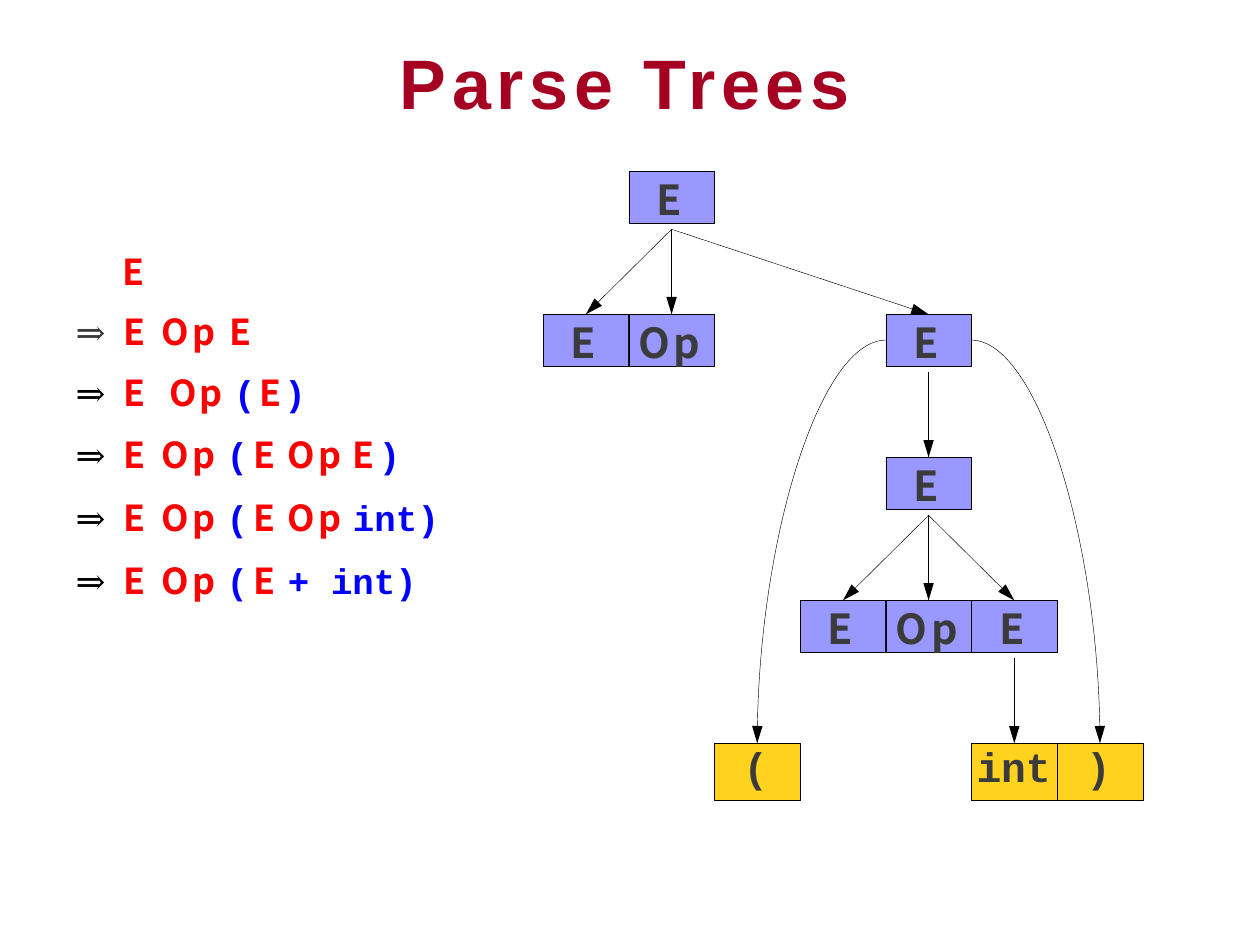
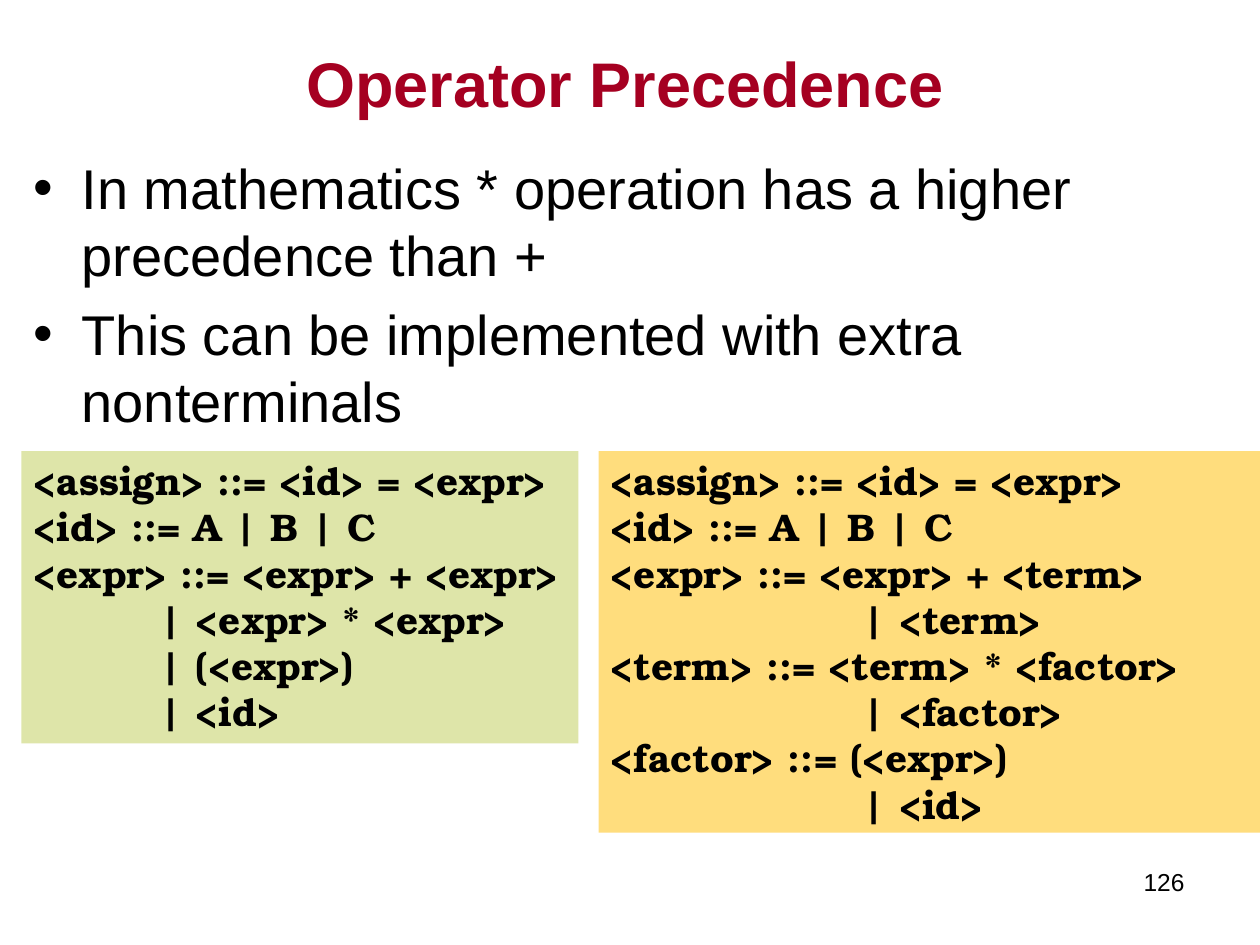
from dataclasses import dataclass
from typing import NamedTuple

from lxml import etree
from pptx import Presentation
from pptx.dml.color import RGBColor
from pptx.enum import shapes, text
from pptx.oxml.ns import qn
from pptx.util import Inches, Pt

RED, BLUE, BLACK, GREY = "FF0000", "0000FF", "000000", "3B3B3B"
TITLE, NODE, LEAF = "A50021", "9898FF", "FFD21F"
SANS, MONO, NOTO = "Arial", "Courier New", "Noto Sans CJK KR"
MATH, SERIF = "Cambria", "TeX Gyre Bonum"
LEFT, TOP, COL, ROW = 4.31, 1.36, 0.68, 1.135
GAP = 0.46


class Box(NamedTuple):
    left: float
    top: float
    width: float
    height: float


@dataclass(frozen=True)
class Style:
    font: str
    size: float
    color: str
    bold: bool = True
    space: float = 0


@dataclass(frozen=True)
class Node:
    name: str
    label: str
    col: int
    row: int
    indent: float
    space: float = 0
    leaf: bool = False


@dataclass(frozen=True)
class Panel:
    box: Box
    fill: str
    rules: str


NODES = [
    Node("root", "E", 1, 0, 0.22, 5.3),
    Node("left", "E", 0, 1, 0.22, 5.3),
    Node("op", "Op", 1, 1, 0.08, 1.9),
    Node("right", "E", 4, 1, 0.22, 5.3),
    Node("inner", "E", 4, 2, 0.22, 5.3),
    Node("first", "E", 3, 3, 0.22, 5.3),
    Node("sign", "Op", 4, 3, 0.08, 1.9),
    Node("last", "E", 5, 3, 0.22, 5.3),
    Node("open", "(", 2, 4, 0.23, leaf=True),
    Node("int", "int", 5, 4, 0.04, -0.1, True),
    Node("close", ")", 6, 4, 0.23, leaf=True),
]
LINKS = [
    ("root", "left"), ("root", "op"), ("root", "right"), ("right", "inner"),
    ("inner", "first"), ("inner", "sign"), ("inner", "last"), ("last", "int"),
]
CURVES = [("right", 1, "open"), ("right", 3, "close")]

EXPR, OPER = ("E", RED, 4.7), ("Op", RED, 1.8)
BLANK, TIGHT = (" ", RED, 0), (" ", RED, -1)
HEAD = [EXPR, BLANK, OPER]
OPEN = HEAD + [TIGHT, ("(", BLUE, 3.2), ("E", RED, 2.3), BLANK]
STEPS = [
    (10.9, [EXPR]),
    (10.1, HEAD + [(" ", RED, 1.8), EXPR]),
    (10.1, [EXPR, (" ", RED, 4.2), OPER, TIGHT,
            ("(", BLUE, 2.4), ("E", RED, 1.5), (")", BLUE, 1.5)]),
    (11.3, OPEN + [OPER, BLANK, ("E", RED, 2.4), (")", BLUE, 2.4)]),
    (11.3, OPEN + [OPER, BLANK, ("int)", BLUE, 0.1)]),
    (11.3, OPEN + [("+ ", BLUE, 0.1), ("int)", BLUE, 0)]),
]

POINTS = [
    "In mathematics * operation has a higher precedence than +",
    "This can be implemented with extra nonterminals",
]
START = "<assign> ::= <id> = <expr>\n<id> ::= A | B | C\n"
PANELS = [
    Panel(Box(4.75, 3.58, 5.25, 3.03), "FFDD7D", START
          + "<expr> ::= <expr> + <term>\n\t\t| <term>\n"
          + "<term> ::= <term> * <factor>\n\t\t| <factor>\n"
          + "<factor> ::= (<expr>)\n\t\t| <id>"),
    Panel(Box(0.17, 3.58, 4.42, 2.32), "DEE5A9", START
          + "<expr> ::= <expr> + <expr>\n\t| <expr> * <expr>\n"
          + "\t| (<expr>)\n\t| <id>"),
]


def rgb(color: str) -> RGBColor:
    return RGBColor.from_string(color)


def inch(box: Box) -> list:
    return [Inches(side) for side in box]


def paint(run, style: Style) -> None:
    font = run.font
    font.name, font.size, font.bold = style.font, Pt(style.size), style.bold
    font.color.rgb = rgb(style.color)
    props = run._r.get_or_add_rPr()
    if style.space:
        props.set("spc", str(round(style.space * 100)))
    east = etree.Element(qn("a:ea"), typeface=style.font)
    props.find(qn("a:latin")).addnext(east)


def indent(para, left: float, first: float = 0) -> None:
    props = para._p.get_or_add_pPr()
    props.set("marL", str(Inches(left)))
    props.set("indent", str(Inches(first)))


def set_tabs(para, *stops: float) -> None:
    tabs = etree.SubElement(para._p.get_or_add_pPr(), qn("a:tabLst"))
    for stop in stops:
        etree.SubElement(tabs, qn("a:tab"), pos=str(Inches(stop)), algn="l")


def inset(frame, top: float) -> None:
    frame.margin_left = frame.margin_right = frame.margin_bottom = 0
    frame.margin_top = Inches(top)


def write(slide, box: Box, words: str, style: Style):
    frame = slide.shapes.add_textbox(*inch(box)).text_frame
    fill_in(frame, words, style)
    return frame


def fill_in(frame, words: str, style: Style) -> None:
    frame.word_wrap = True
    frame.vertical_anchor = text.MSO_ANCHOR.TOP
    frame.text = words
    for para in frame.paragraphs:
        para.alignment = text.PP_ALIGN.LEFT
        for run in para.runs:
            paint(run, style)


def block(slide, box: Box, color: str, words: str, style: Style):
    shape = slide.shapes.add_shape(shapes.MSO_SHAPE.RECTANGLE, *inch(box))
    shape.shadow.inherit = False
    shape.fill.solid()
    shape.fill.fore_color.rgb = rgb(color)
    shape.line.fill.background()
    fill_in(shape.text_frame, words, style)
    return shape


def outline(line) -> None:
    line.color.rgb = rgb(BLACK)
    line.width = Pt(0.25)


def title(slide, words: str, size: float, space: float = 0) -> None:
    style = Style(SANS, size, TITLE, space=space)
    frame = write(slide, Box(0.17, 0.3, 9.58, 0.7), words, style)
    frame.vertical_anchor = text.MSO_ANCHOR.MIDDLE
    frame.paragraphs[0].alignment = text.PP_ALIGN.CENTER


def draw_node(slide, node: Node):
    box = Box(LEFT + COL * node.col, TOP + ROW * node.row, COL,
              0.45 if node.leaf else 0.41)
    style = Style(MONO if node.leaf else NOTO, 23.6, GREY, space=node.space)
    shape = block(slide, box, LEAF if node.leaf else NODE, node.label, style)
    outline(shape.line)
    para = shape.text_frame.paragraphs[0]
    indent(para, node.indent)
    inset(shape.text_frame, 0.03 if node.leaf else 0.02)
    if node.leaf:
        para.line_spacing = Pt(25.2)
    else:
        para.space_before = Pt(1.1)
    return shape


def arrow(slide, kind, start: tuple, goal):
    line = slide.shapes.add_connector(kind, *start, goal.left, goal.top)
    line.end_connect(goal, 0)
    outline(line.line)
    etree.SubElement(line.line._get_or_add_ln(), qn("a:tailEnd"),
                     type="triangle", w="med", len="lg")
    etree.SubElement(line._element.spPr, qn("a:effectLst"))
    return line


def derive(slide) -> None:
    frame = slide.shapes.add_textbox(*inch(Box(0.6, 1.83, 2.98, 2.96))).text_frame
    frame.word_wrap = True
    inset(frame, 0.15)
    for step, (before, parts) in enumerate(STEPS):
        para = frame.add_paragraph() if step else frame.paragraphs[0]
        para.space_before = Pt(before)
        if step:
            set_tabs(para, 0.38)
            sign = para.add_run()
            sign.text = "⇒\t"
            tone = GREY if step == 1 else BLACK
            paint(sign, Style(MATH, 20.4, tone, False, -0.5))
        else:
            indent(para, 0.37)
        for words, color, space in parts:
            run = para.add_run()
            run.text = words
            font = NOTO if color == RED else MONO
            paint(run, Style(font, 20.4, color, space=space))


def trees(slide) -> None:
    title(slide, "Parse Trees", 40, 3.3)
    derive(slide)
    drawn = {node.name: draw_node(slide, node) for node in NODES}
    for source, goal in LINKS:
        base = drawn[source]
        start = (base.left + base.width // 2, base.top + Inches(GAP))
        arrow(slide, shapes.MSO_CONNECTOR.STRAIGHT, start, drawn[goal])
    for source, side, goal in CURVES:
        base = drawn[source]
        line = arrow(slide, shapes.MSO_CONNECTOR.CURVE,
                     (base.left, base.top), drawn[goal])
        line.begin_connect(base, side)
        line._element.spPr.find(qn("a:prstGeom")).set("prst", "curvedConnector2")


def ranks(slide) -> None:
    title(slide, "Operator Precedence", 36)
    body = write(slide, Box(0.17, 1.17, 9.58, 2.4), "\n".join(POINTS),
                 Style(SANS, 32, BLACK, False))
    for para in body.paragraphs:
        para.space_before = Pt(6.4)
        indent(para, 0.38, -0.38)
        props = para._p.get_or_add_pPr()
        etree.SubElement(props, qn("a:buFont"), typeface=SANS)
        etree.SubElement(props, qn("a:buChar"), char="•")
    for panel in PANELS:
        shape = block(slide, panel.box, panel.fill, panel.rules,
                      Style(SERIF, 22, BLACK))
        for para in shape.text_frame.paragraphs:
            set_tabs(para, 1, 2)
    page = write(slide, Box(7.17, 6.83, 2.33, 0.52), "126",
                 Style(SANS, 14, BLACK, False))
    page.paragraphs[0].alignment = text.PP_ALIGN.RIGHT


def main() -> None:
    deck = Presentation()
    deck.slide_width, deck.slide_height = Inches(10), Inches(7.5)
    for draw in (trees, ranks):
        draw(deck.slides.add_slide(deck.slide_layouts[6]))
    deck.save("out.pptx")


if __name__ == "__main__":
    main()
